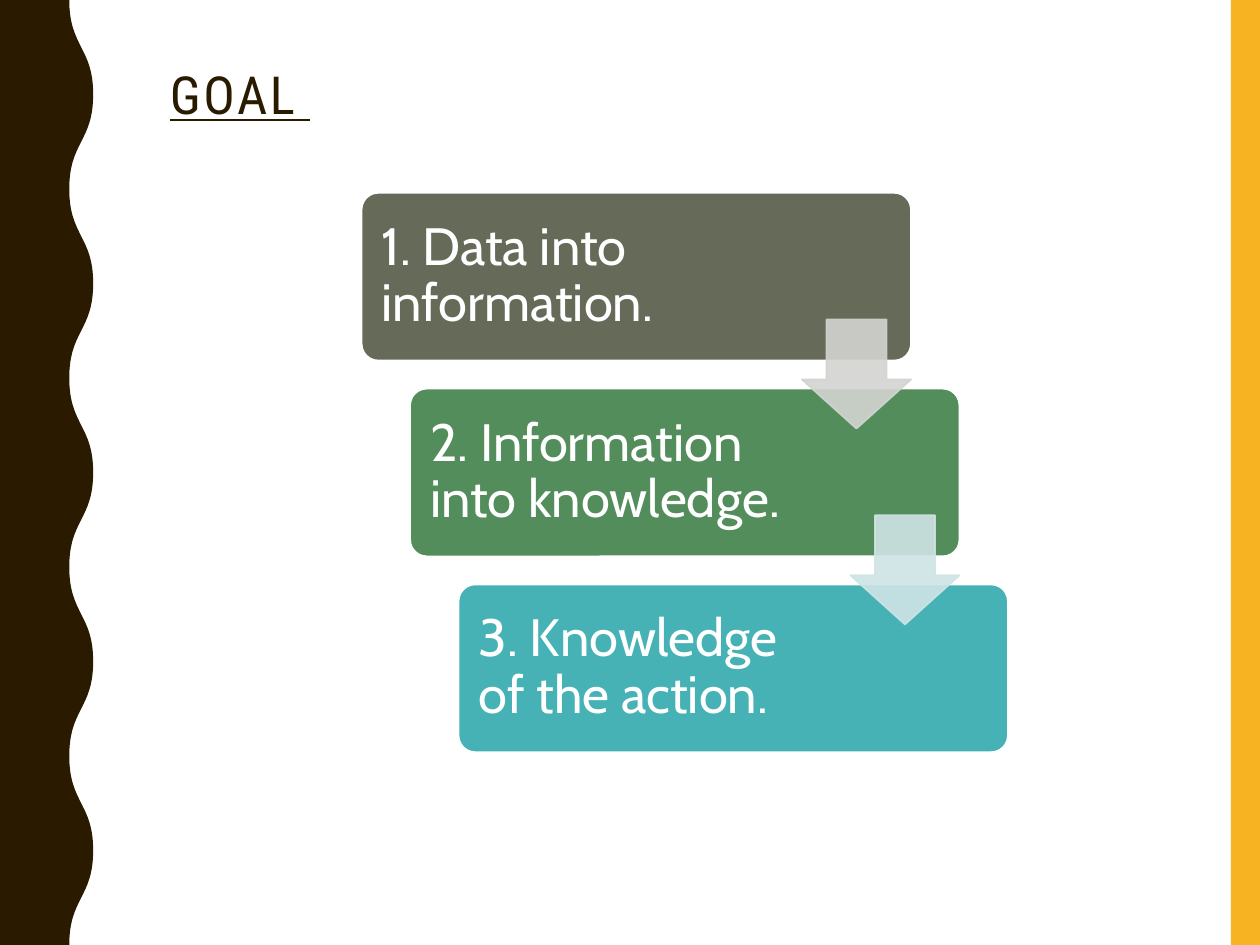
from lxml.etree import SubElement
from pptx import Presentation
from pptx.dml.color import RGBColor
from pptx.enum.shapes import MSO_SHAPE as Shape
from pptx.enum.text import MSO_ANCHOR as Anchor
from pptx.oxml.ns import qn
from pptx.util import Inches, Pt

WHITE = RGBColor(0xFF, 0xFF, 0xFF)
BROWN = RGBColor(0x2A, 0x1A, 0x00)
AMBER = RGBColor(0xF8, 0xB3, 0x23)
OLIVE = RGBColor(0x65, 0x6A, 0x59)
GREEN = RGBColor(0x52, 0x8D, 0x5B)
TEAL = RGBColor(0x46, 0xB2, 0xB5)
PALE_OLIVE = RGBColor(0xD3, 0xD4, 0xD1)
PALE_TEAL = RGBColor(0xCF, 0xE4, 0xE5)

W, H = 10, 7.5
UNITS = 1000
STEPS = [
    ("1. Data into information.", OLIVE, 0.67),
    ("2. Information into knowledge.", GREEN, 0.695),
    ("3. Knowledge of the action.", TEAL, 0.695),
]
ARROWS = [PALE_OLIVE, PALE_TEAL]


def paint(sp, fill, line=None):
    """Give a shape a flat fill and an optional one-point outline."""
    sp.shadow.inherit = False
    sp.fill.solid()
    sp.fill.fore_color.rgb = fill
    if line is None:
        sp.line.fill.background()
    else:
        sp.line.color.rgb = line
        sp.line.width = Pt(1)


def add_box(s, kind, box, fill, line=None, adjustments=()):
    """Draw a preset shape in a box given in inches."""
    sp = s.shapes.add_shape(kind, *map(Inches, box))
    for i, value in enumerate(adjustments):
        sp.adjustments[i] = value
    paint(sp, fill, line)
    return sp


def add_text(s, box, text, font, color, inset=0.1):
    """Place one vertically centred 30-point paragraph and return it."""
    tf = s.shapes.add_textbox(*map(Inches, box)).text_frame
    tf.word_wrap = True
    tf.vertical_anchor = Anchor.MIDDLE
    tf.margin_left = tf.margin_right = Inches(inset)
    tf.margin_top = tf.margin_bottom = Inches(inset)
    p = tf.paragraphs[0]
    p.text = text
    p.line_spacing = 0.9
    p.font.name = font
    p.font.size = Pt(30)
    p.font.color.rgb = color
    return p


def bend(segment, start):
    """Turn a line segment into an S-curve with upright ends."""
    end = segment[0]
    middle = (int(start.get("y")) + int(end.get("y"))) // 2
    segment.tag = qn("a:cubicBezTo")
    for i, point in enumerate((start, end)):
        control = SubElement(segment, qn("a:pt"), x=point.get("x"), y=str(middle))
        segment.insert(i, control)


def add_wave(s, box, trough=0.55, halves=10):
    """Fill a band whose right edge swings between trough and box width."""
    x, y, w, h = (round(v * UNITS) for v in box)
    edges = (x + round(trough * UNITS), x + w)
    points = [(edges[i % 2], y + h * i // halves) for i in range(halves + 1)]
    fb = s.shapes.build_freeform(*points[0], scale=Inches(1) / UNITS)
    fb.add_line_segments(points[1:] + [(x, y + h), (x, y)], close=True)
    sp = fb.convert_to_shape()
    ends = list(sp._element.iter(qn("a:pt")))
    for start, end in zip(ends[:halves], ends[1:]):
        bend(end.getparent(), start)
    paint(sp, BROWN)


def add_title(s, box, text):
    """Write the underlined, letter-spaced title."""
    p = add_text(s, box, text, "Roboto Condensed", BROWN)
    p.font.underline = True
    p.runs[0].font._element.set("spc", "150")


def add_staircase(s, box):
    """Step the cards down to the right and link them with arrows."""
    x, y, w, h = box
    card_w, card_h = 0.85 * w, 0.3 * h
    size = 0.65 * card_h
    corners = [(x + 0.075 * w * i, y + 0.35 * h * i) for i in range(len(STEPS))]
    for (left, top), (text, color, share) in zip(corners, STEPS):
        add_box(s, Shape.ROUNDED_RECTANGLE, (left, top, card_w, card_h), color, WHITE, [0.1])
        pad = 0.03 * card_h
        inner = (left + pad, top + pad, share * card_w, card_h - 2 * pad)
        add_text(s, inner, text, "Cabin", WHITE, inset=0.12)
    for (left, top), color in zip(corners, ARROWS):
        spot = (left + card_w - size, top + 0.755 * card_h, size, size)
        sp = add_box(s, Shape.DOWN_ARROW, spot, color, color, [0.55, 0.45])
        for clr in sp._element.spPr.iter(qn("a:srgbClr")):
            SubElement(clr, qn("a:alpha"), val="90000")


def main():
    """Build the slide and save it."""
    prs = Presentation()
    prs.slide_width, prs.slide_height = Inches(W), Inches(H)
    s = prs.slides.add_slide(prs.slide_layouts[6])
    add_box(s, Shape.RECTANGLE, (0.977 * W, 0, 0.023 * W, H), AMBER)
    add_wave(s, (0, 0, 0.074 * W, H))
    add_title(s, (0.125 * W, 0, 0.392 * W, 0.207 * H), "GOAL ")
    add_staircase(s, (0.287 * W, 0.204 * H, 0.513 * W, 0.592 * H))
    prs.save("out.pptx")


if __name__ == "__main__":
    main()
